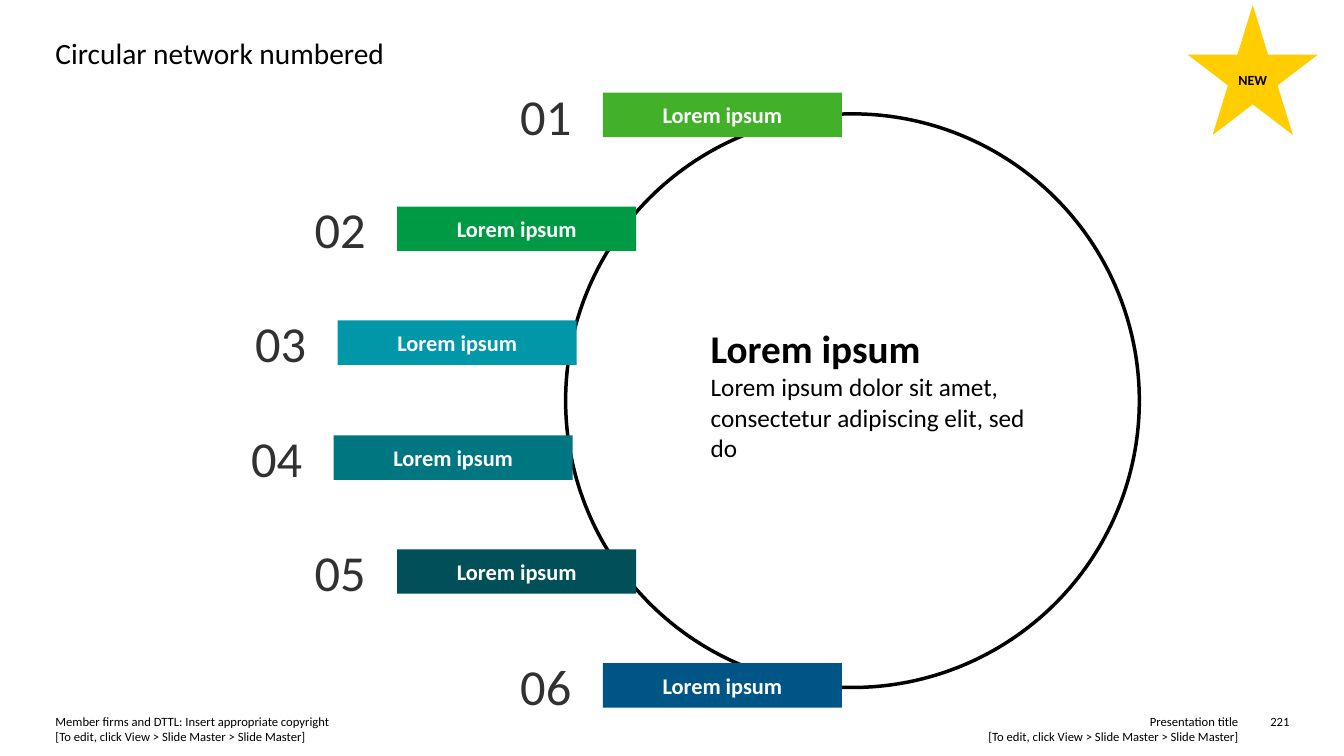
from dataclasses import dataclass

from pptx import Presentation
from pptx.dml.color import RGBColor
from pptx.enum.shapes import MSO_SHAPE
from pptx.enum.text import MSO_ANCHOR, MSO_AUTO_SIZE, PP_ALIGN
from pptx.util import Pt

PX = 9144


@dataclass(frozen=True)
class Theme:
    font: str = "Calibri"
    black: str = "000000"
    white: str = "FFFFFF"
    number_color: str = "313131"
    star_color: str = "FFCD00"
    bar_colors: tuple = ("43B02A", "009A44", "0097A9", "007680", "004F59", "005587")
    title: int = 21
    heading: int = 28
    body: int = 18
    label: int = 16
    number: int = 36
    badge: int = 10
    footer: int = 9


class SlideBuilder:
    def __init__(self, slide, theme):
        self.s = slide
        self.theme = theme

    def px(self, *lengths):
        return [n * PX for n in lengths]

    def style(self, p, size, color, bold=False, align=PP_ALIGN.LEFT):
        p.alignment = align
        p.font.name = self.theme.font
        p.font.size = Pt(size)
        p.font.bold = bold
        p.font.color.rgb = RGBColor.from_string(color)

    def frame(self, sp, inset_x, inset_y, anchor=MSO_ANCHOR.TOP, wrap=True):
        tf = sp.text_frame
        tf.word_wrap = wrap
        tf.auto_size = MSO_AUTO_SIZE.NONE
        tf.vertical_anchor = anchor
        tf.margin_left = tf.margin_right = inset_x * PX
        tf.margin_top = tf.margin_bottom = inset_y * PX
        return tf

    def title(self, text, *box):
        sp = self.s.shapes.title
        sp.left, sp.top, sp.width, sp.height = self.px(*box)
        p = self.frame(sp, 0, 0).paragraphs[0]
        p.text = text
        self.style(p, self.theme.title, self.theme.black)

    def text(self, lines, size, color, *box, align=PP_ALIGN.LEFT):
        sp = self.s.shapes.add_textbox(*self.px(*box))
        p = self.frame(sp, 0, 0).paragraphs[0]
        for i, line in enumerate(lines):
            if i:
                p.add_line_break()
            p.add_run().text = line
        self.style(p, size, color, align=align)

    def message(self, heading, body, *box):
        sp = self.s.shapes.add_textbox(*self.px(*box))
        tf = self.frame(sp, 10, 5)
        p = tf.paragraphs[0]
        p.text = heading
        self.style(p, self.theme.heading, self.theme.black, bold=True)
        p = tf.add_paragraph()
        p.text = body
        self.style(p, self.theme.body, self.theme.black)

    def ring(self, width, *box):
        sp = self.s.shapes.add_shape(MSO_SHAPE.OVAL, *self.px(*box))
        sp.shadow.inherit = False
        sp.fill.background()
        sp.line.color.rgb = RGBColor.from_string(self.theme.black)
        sp.line.width = Pt(width)

    def label(self, kind, text, size, color, fill, *box, wrap=True):
        sp = self.s.shapes.add_shape(kind, *self.px(*box))
        sp.shadow.inherit = False
        sp.fill.solid()
        sp.fill.fore_color.rgb = RGBColor.from_string(fill)
        sp.line.fill.background()
        p = self.frame(sp, 10, 10, MSO_ANCHOR.MIDDLE, wrap).paragraphs[0]
        p.text = text
        self.style(p, size, color, bold=True, align=PP_ALIGN.CENTER)


def main():
    theme = Theme()
    prs = Presentation()
    prs.slide_width, prs.slide_height = 1333 * PX, 750 * PX
    b = SlideBuilder(prs.slides.add_slide(prs.slide_layouts[5]), theme)

    b.title("Circular network numbered", 55, 35, 1224, 37)

    edit_hint = "[To edit, click View > Slide Master > Slide Master]"
    footers = [
        (["Presentation title", edit_hint], 693, 535, PP_ALIGN.RIGHT),
        (["Member firms and DTTL: Insert appropriate copyright", edit_hint],
         55, 586, PP_ALIGN.LEFT),
        (["221"], 1245, 34, PP_ALIGN.RIGHT),
    ]
    for lines, left, width, align in footers:
        b.text(lines, theme.footer, theme.black, left, 708, width, 15 * len(lines), align=align)

    b.ring(2.5, 561, 113, 569, 569)
    b.message("Lorem ipsum", "Lorem ipsum dolor sit amet, consectetur adipiscing elit, sed do",
              695, 317, 335, 178)

    bar_lefts = (598, 394, 335, 331, 394, 598)
    first_top, last_top = 92, 658
    step = (last_top - first_top) / (len(bar_lefts) - 1)
    for i, (left, color) in enumerate(zip(bar_lefts, theme.bar_colors)):
        top = round(first_top + i * step)
        b.label(MSO_SHAPE.RECTANGLE, "Lorem ipsum", theme.label, theme.white, color,
                left, top, 237, 44)
        b.text([f"{i + 1:02d}"], theme.number, theme.number_color, left - 82, top - 8, 88, 61)

    b.label(MSO_SHAPE.STAR_5_POINT, "NEW", theme.badge, theme.black, theme.star_color,
            1178, 5, 129, 129, wrap=False)

    prs.save("out.pptx")


if __name__ == "__main__":
    main()
